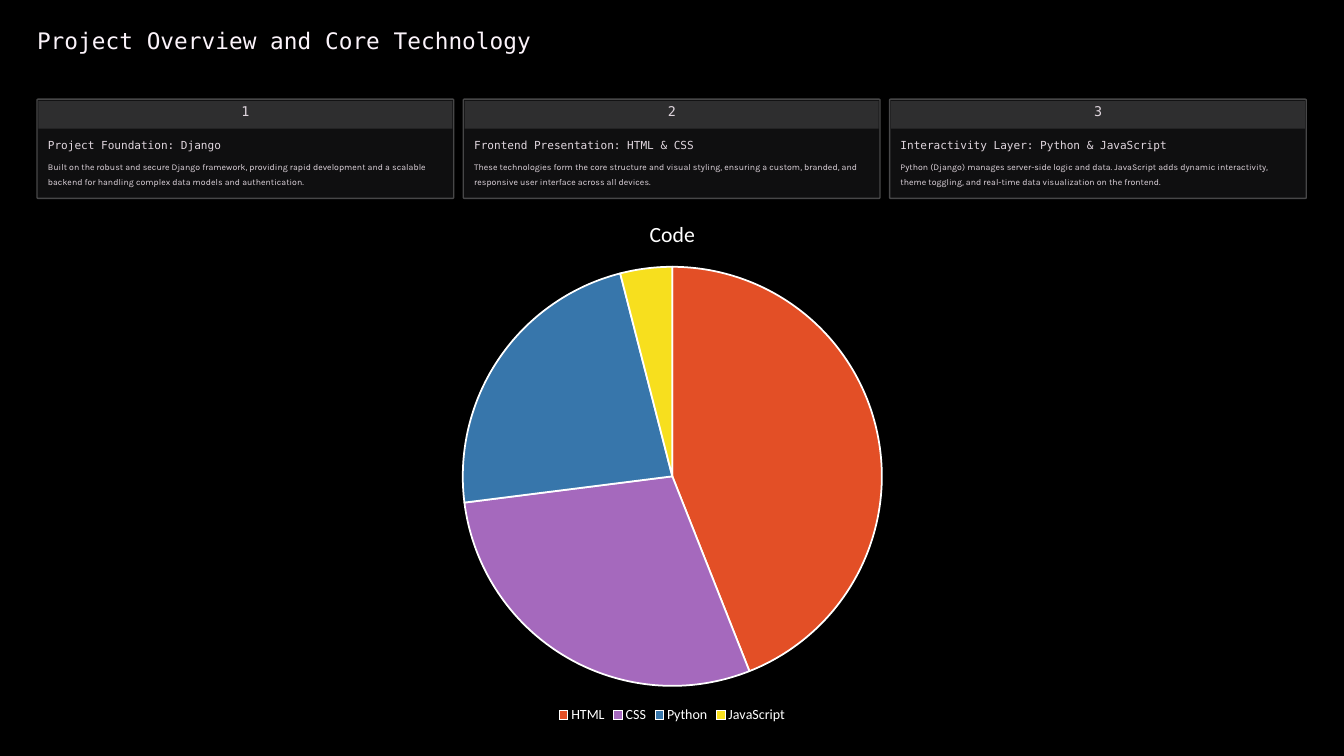
import pptx
import pptx.chart.data
import pptx.dml.color
import pptx.enum.chart
import pptx.enum.shapes
import pptx.enum.text
import pptx.util

Cm = pptx.util.Cm
Pt = pptx.util.Pt
RGBColor = pptx.dml.color.RGBColor
Align = pptx.enum.text.PP_ALIGN
Shape = pptx.enum.shapes.MSO_SHAPE

BLACK = RGBColor(0x00, 0x00, 0x00)
WHITE = RGBColor(0xFF, 0xFF, 0xFF)
TITLE = RGBColor(0xFB, 0xF3, 0xFA)
TEXT = RGBColor(0xE0, 0xD6, 0xDE)
CARD = RGBColor(0x0F, 0x0F, 0x10)
BAND = RGBColor(0x2E, 0x2E, 0x2F)
EDGE = RGBColor(0x47, 0x47, 0x48)
ORANGE = RGBColor(0xE3, 0x4F, 0x26)
PURPLE = RGBColor(0xA5, 0x69, 0xBD)
BLUE = RGBColor(0x37, 0x76, 0xAB)
YELLOW = RGBColor(0xF7, 0xDF, 0x1E)

MONO = "DejaVu Sans Mono"
SANS = "Karla"
PLOT = "Calibri"

LEFT = 1.12
STEP = 12.89
CARDS = [
    ("Project Foundation: Django",
     "Built on the robust and secure Django framework, providing rapid development "
     "and a scalable backend for handling complex data models and authentication."),
    ("Frontend Presentation: HTML & CSS",
     "These technologies form the core structure and visual styling, ensuring a custom, "
     "branded, and responsive user interface across all devices."),
    ("Interactivity Layer: Python & JavaScript",
     "Python (Django) manages server-side logic and data. JavaScript adds dynamic "
     "interactivity, theme toggling, and real-time data visualization on the frontend."),
]
CODE = [("HTML", 44, ORANGE), ("CSS", 29, PURPLE), ("Python", 23, BLUE), ("JavaScript", 4, YELLOW)]


class Deck:
    """Holds the style and the current slide, and draws its elements."""

    def __init__(self):
        self.show = pptx.Presentation()
        self.show.slide_width = Cm(40.64)
        self.show.slide_height = Cm(22.86)
        self.slide = self.show.slides.add_slide(self.show.slide_layouts[5])
        fill = self.slide.background.fill
        fill.solid()
        fill.fore_color.rgb = BLACK

    def font(self, font, size, name, color):
        font.size = Pt(size)
        font.name = name
        font.bold = False
        font.color.rgb = color

    def label(self, shape, text, size, lead, name=MONO, color=TEXT, align=Align.LEFT, wrap=False):
        frame = shape.text_frame
        frame.margin_left = frame.margin_top = frame.margin_right = frame.margin_bottom = 0
        frame.word_wrap = wrap
        frame.auto_size = pptx.enum.text.MSO_AUTO_SIZE.NONE
        frame.vertical_anchor = pptx.enum.text.MSO_ANCHOR.TOP
        line = frame.paragraphs[0]
        line.alignment = align
        line.line_spacing = Pt(lead)
        run = line.add_run()
        run.text = text
        self.font(run.font, size, name, color)

    def title(self, text):
        head = self.slide.shapes.title
        head.left, head.top, head.width, head.height = Cm(LEFT), Cm(0.76), Cm(15.19), Cm(0.89)
        self.label(head, text, 19.5, 24.5, color=TITLE)

    def text(self, x, y, w, h, *args, **style):
        box = self.slide.shapes.add_textbox(Cm(x), Cm(y), Cm(w), Cm(h))
        self.label(box, *args, **style)

    def block(self, kind, x, y, w, h, color, edge=None):
        shape = self.slide.shapes.add_shape(kind, Cm(x), Cm(y), Cm(w), Cm(h))
        shape.shadow.inherit = False
        shape.fill.solid()
        shape.fill.fore_color.rgb = color
        if edge is None:
            shape.line.fill.background()
        else:
            shape.line.color.rgb = edge
            shape.line.width = Pt(1.2)
        return shape

    def card(self, x, mark, head, body):
        frame = self.block(Shape.ROUNDED_RECTANGLE, x, 3, 12.6, 3, CARD, EDGE)
        frame.adjustments[0] = 0.01
        self.block(Shape.RECTANGLE, x + 0.04, 3.05, 12.52, 0.84, BAND)
        self.text(x + 6.09, 3.2, 0.43, 0.53, mark, 11.5, 11.5, align=Align.CENTER)
        self.text(x + 0.33, 4.17, 8.43, 0.43, head, 9.5, 12)
        self.text(x + 0.33, 4.78, 11.96, 0.89, body, 7.5, 12.5, name=SANS, wrap=True)

    def pie(self, name, rows):
        data = pptx.chart.data.CategoryChartData()
        data.categories = [row[0] for row in rows]
        data.add_series(name, [row[1] for row in rows])
        kind = pptx.enum.chart.XL_CHART_TYPE.PIE
        chart = self.slide.shapes.add_chart(
            kind, Cm(8.38), Cm(6.05), Cm(23.9), Cm(15.93), data).chart
        self.font(chart.font, 10, PLOT, WHITE)
        chart.has_title = True
        run = chart.chart_title.text_frame.paragraphs[0].add_run()
        run.text = name
        self.font(run.font, 18.6, PLOT, WHITE)
        chart.has_legend = True
        chart.legend.position = pptx.enum.chart.XL_LEGEND_POSITION.BOTTOM
        chart.legend.include_in_layout = False
        self.font(chart.legend.font, 12, PLOT, WHITE)
        plot = chart.plots[0]
        plot.vary_by_categories = True
        for i, (_, _, color) in enumerate(rows):
            look = plot.series[0].points[i].format
            look.fill.solid()
            look.fill.fore_color.rgb = color
            look.line.color.rgb = WHITE
            look.line.width = Pt(1.5)


def main():
    deck = Deck()
    deck.title("Project Overview and Core Technology")
    for i, (head, body) in enumerate(CARDS):
        deck.card(LEFT + i * STEP, str(i + 1), head, body)
    deck.pie("Code", CODE)
    deck.show.save("out.pptx")


if __name__ == "__main__":
    main()
